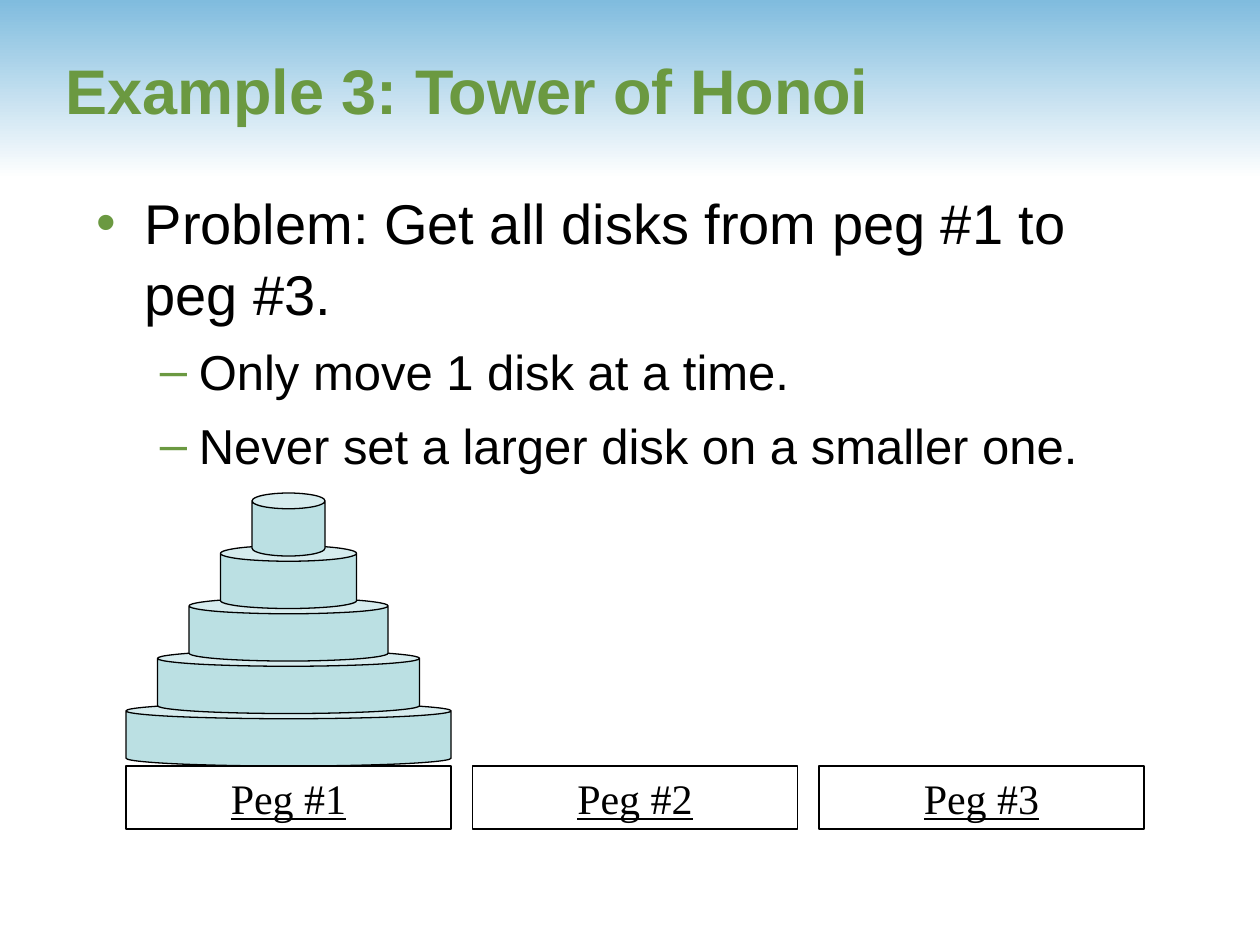
from pptx import Presentation, util as u
from pptx.dml.color import RGBColor as Rgb
from pptx.enum import shapes as s, text as t
from pptx.oxml.ns import qn
from lxml import etree

# Content
TITLE = "Example 3: Tower of Honoi"
LINES = [
    (0, "Problem: Get all disks from peg #1 to peg #3."),
    (1, "Only move 1 disk at a time."),
    (1, "Never set a larger disk on a smaller one."),
]
PEGS = ["Peg #1", "Peg #2", "Peg #3"]
DISKS = 5

THEME = {
    "sky": "80BCDE", "white": "FFFFFF", "green": "6B9941",
    "black": "000000", "disk": "BBE0E3",
    "sans": "Arial", "serif": "Times New Roman",
    "title": 36, "peg": 24, "line": 0.75,
}
# Per level: type size, left margin, hanging indent, space before, bullet
LEVELS = [(32, 0.38, 0.38, 8, "•"), (28, 0.81, 0.31, 7, "–")]

# Layout: base of the tower, peg pitch and disk steps
LEFT, BASE, WIDE, HIGH = 1, 6.08, 2.58, 0.5
PITCH, RISE, INSET = 2.75, 5 / 12, 0.25


def color(key):
    return Rgb.from_string(THEME[key])


def style(font, face, size, key):
    font.name, font.size = THEME[face], u.Pt(size)
    font.color.rgb = color(key)


def add_shape(slide, kind, box, fill):
    item = slide.shapes.add_shape(kind, *map(u.Inches, box))
    item.shadow.inherit = False
    item.fill.solid()
    item.fill.fore_color.rgb = color(fill)
    item.line.color.rgb = color("black")
    item.line.width = u.Pt(THEME["line"])
    return item


def add_box(slide, *box):
    frame = slide.shapes.add_textbox(*map(u.Inches, box)).text_frame
    frame.word_wrap = True
    return frame


def add_bullet(para, left, hang, mark):
    props = para._p.get_or_add_pPr()
    props.set("marL", str(u.Inches(left)))
    props.set("indent", str(-u.Inches(hang)))
    tint = etree.SubElement(props, qn("a:buClr"))
    etree.SubElement(tint, qn("a:srgbClr"), val=THEME["green"])
    etree.SubElement(props, qn("a:buFont"), typeface=THEME["sans"])
    etree.SubElement(props, qn("a:buChar"), char=mark)


def main():
    deck = Presentation()
    deck.slide_width, deck.slide_height = u.Inches(10), u.Inches(7.5)
    slide = deck.slides.add_slide(deck.slide_layouts[6])

    # Sky band
    band = add_shape(slide, s.MSO_SHAPE.RECTANGLE, (0, 0, 10, 1.42), "sky")
    band.line.fill.background()
    band.fill.gradient()
    band.fill.gradient_angle = 270
    for stop, key, place in zip(band.fill.gradient_stops, ("sky", "white"), (0, 1)):
        stop.color.rgb, stop.position = color(key), place

    # Title
    frame = add_box(slide, 0.42, 0.08, 9.42, 1.25)
    frame.vertical_anchor = t.MSO_ANCHOR.MIDDLE
    frame.text = TITLE
    font = frame.paragraphs[0].runs[0].font
    style(font, "sans", THEME["title"], "green")
    font.bold = True

    # Problem and rules
    frame = add_box(slide, 0.67, 1.42, 8.42, 5.28)
    for row, (level, words) in enumerate(LINES):
        para = frame.add_paragraph() if row else frame.paragraphs[0]
        size, left, hang, space, mark = LEVELS[level]
        para.text, para.level = words, level
        add_bullet(para, left, hang, mark)
        para.line_spacing = 1.05
        if row:
            para.space_before = u.Pt(space)
        style(para.runs[0].font, "sans", size, "black")

    # Disks, largest at the bottom
    for n in range(DISKS):
        box = (LEFT + n * INSET, BASE - HIGH - n * RISE, WIDE - 2 * n * INSET, HIGH)
        disk = add_shape(slide, s.MSO_SHAPE.CAN, box, "disk")
        disk.adjustments[0] = 0.25

    # Pegs
    for n, name in enumerate(PEGS):
        box = (LEFT + n * PITCH, BASE, WIDE, HIGH)
        peg = add_shape(slide, s.MSO_SHAPE.RECTANGLE, box, "white")
        peg.text_frame.text = name
        para = peg.text_frame.paragraphs[0]
        para.alignment = t.PP_ALIGN.CENTER
        font = para.runs[0].font
        style(font, "serif", THEME["peg"], "black")
        font.underline = True

    deck.save("out.pptx")


if __name__ == "__main__":
    main()
